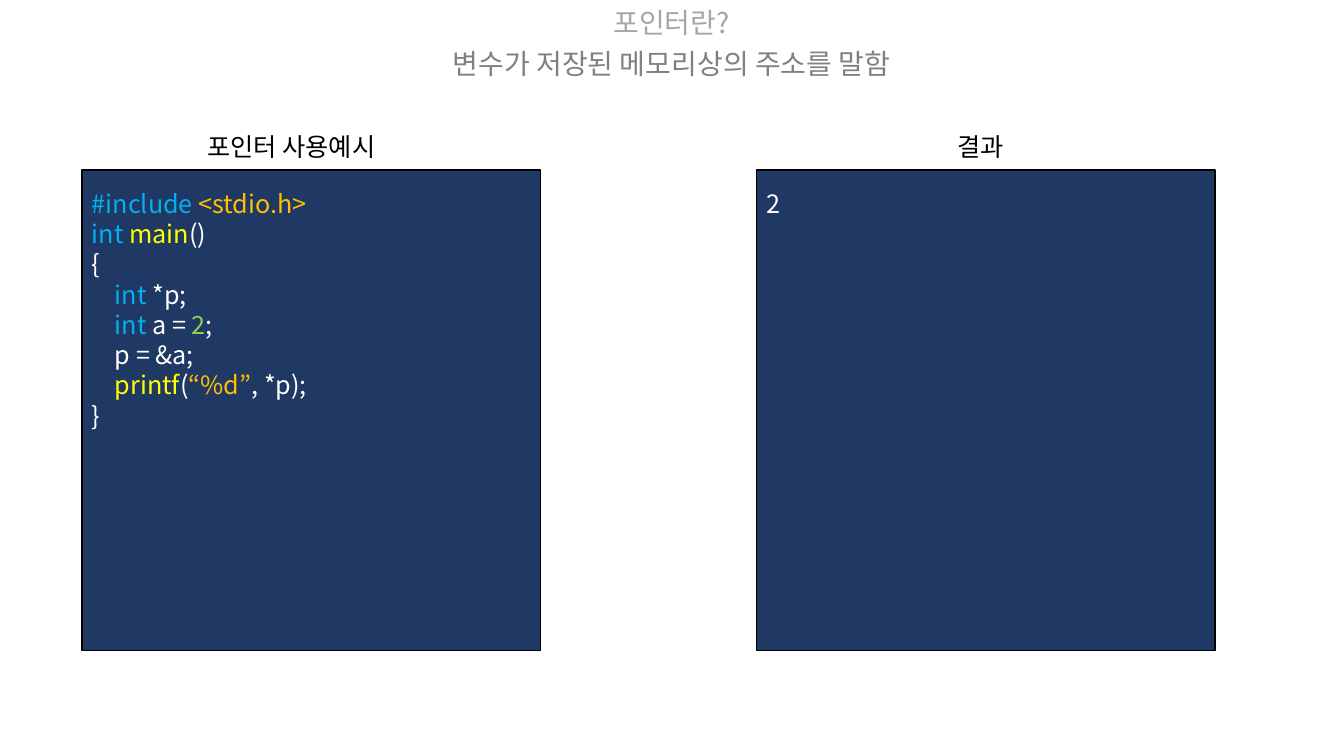
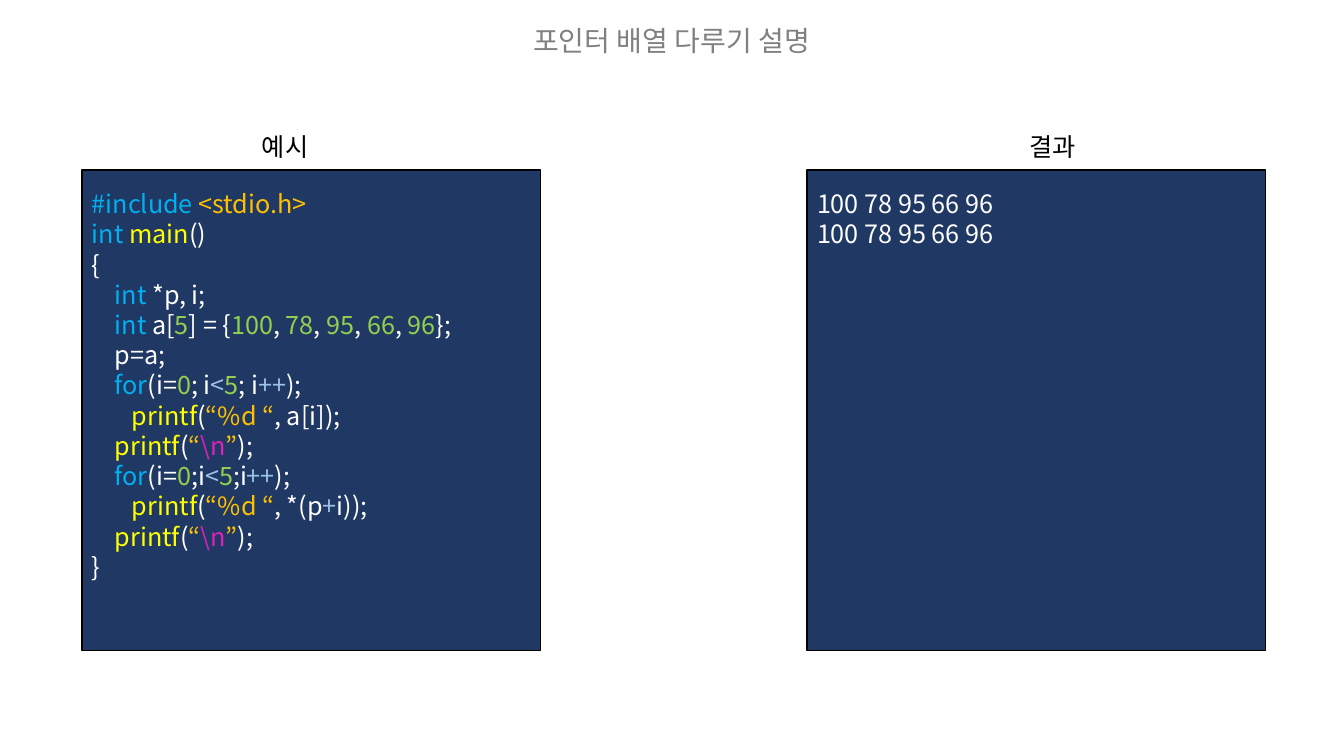
from lxml.etree import SubElement
from pptx import Presentation
from pptx.dml.color import RGBColor
from pptx.enum.shapes import MSO_SHAPE
from pptx.enum.text import PP_ALIGN
from pptx.oxml.ns import qn
from pptx.util import Pt

FONT = "Noto Sans CJK KR"
COLORS = {
    "question": "A6A6A6", "title": "808080", "label": "000000",
    "panel": "203864", "border": "000000",
    "plain": "FFFFFF", "keyword": "00B0F0", "string": "FFC000",
    "function": "FFFF00", "number": "92D050", "operator": "9DC3E6",
    "escape": "E020BB",
}
SPACE_WIDTH = 4.1
TITLE_SIZE, TITLE_HEIGHT = 20, 32
BODY_SIZE, LABEL_TOP, LABEL_HEIGHT = 18, 90, 29
PANEL_TOP, PANEL_WIDTH, PANEL_HEIGHT = 121.5, 327.5, 343
CODE_TOP = 131
CODE_LEFT = 58.5

# A code line is (indent in spaces, [(text, colour), ...]).
PROGRAM_START = [
    (0, [("#include ", "keyword"), ("<stdio.h>", "string")]),
    (0, [("int ", "keyword"), ("main", "function"), ("()", "plain")]),
    (0, [("{", "plain")]),
]
PROGRAM_END = [(0, [("}", "plain")])]
PRINT_NEWLINE = (4, [("printf", "function"), ("(", "plain"), ("“", "string"),
                     ("\\n", "escape"), ("”", "string"), (");", "plain")])


def for_line(gap):
    return (4, [("for", "keyword"), ("(i=", "plain"), ("0", "number"),
                (f";{gap}i", "plain"), ("<", "operator"), ("5", "number"),
                (f";{gap}i", "plain"), ("++", "operator"), (");", "plain")])


def print_line(indent, pattern, *arguments):
    return (indent, [("printf", "function"), ("(", "plain"),
                     (pattern, "string"), *arguments])


def output(*lines):
    return [(0, [(line, "plain")]) for line in lines]


POINTER_CODE = PROGRAM_START + [
    (4, [("int ", "keyword"), ("*p;", "plain")]),
    (4, [("int ", "keyword"), ("a = ", "plain"), ("2", "number"), (";", "plain")]),
    (4, [("p = &a;", "plain")]),
    print_line(4, "“%d”", (", *p);", "plain")),
] + PROGRAM_END

ARRAY_CODE = PROGRAM_START + [
    (4, [("int ", "keyword"), ("*p, i;", "plain")]),
    (4, [("int ", "keyword"), ("a[", "plain"), ("5", "number"), ("] = {", "plain"),
         ("100", "number"), (",", "plain"), (" 78", "number"), (",", "plain"),
         (" 95", "number"), (",", "plain"), (" 66", "number"), (",", "plain"),
         (" 96", "number"), ("};", "plain")]),
    (4, [("p=a;", "plain")]),
    for_line(" "),
    print_line(7, "“%d “", (", a[i]);", "plain")),
    PRINT_NEWLINE,
    for_line(""),
    print_line(7, "“%d “", (", *(p", "plain"), ("+", "operator"), ("i));", "plain")),
    PRINT_NEWLINE,
] + PROGRAM_END

# Titles are (text, colour, top); panels are (left, label, label left, label width, lines).
SLIDES = [
    {
        "titles": [("포인터란?", "question", 0.5),
                   ("변수가 저장된 메모리상의 주소를 말함", "title", 29.5)],
        "panels": [(CODE_LEFT, "포인터 사용예시", 141, 148.5, POINTER_CODE),
                   (540.5, "결과", 677, 51, output("2"))],
    },
    {
        "titles": [("포인터 배열 다루기 설명", "title", 13.5)],
        "panels": [(CODE_LEFT, "예시", 180, 51, ARRAY_CODE),
                   (576.5, "결과", 728, 51,
                    output("100 78 95 66 96", "100 78 95 66 96"))],
    },
]


def rgb(name):
    return RGBColor.from_string(COLORS[name])


def add_text(slide, left, top, width, height, lines, size, align=PP_ALIGN.LEFT, wrap=True):
    frame = slide.shapes.add_textbox(Pt(left), Pt(top), Pt(width), Pt(height)).text_frame
    frame.word_wrap = wrap
    for number, (indent, pieces) in enumerate(lines):
        paragraph = frame.add_paragraph() if number else frame.paragraphs[0]
        paragraph.alignment = align
        if indent:
            paragraph._p.get_or_add_pPr().set("marL", str(Pt(indent * SPACE_WIDTH)))
        for text, color in pieces:
            run = paragraph.add_run()
            run.text = text
            run.font.size = Pt(size)
            run.font.name = FONT
            run.font.color.rgb = rgb(color)
            # font.name covers Latin only; Korean needs the East Asian face.
            SubElement(run.font._element, qn("a:ea")).set("typeface", FONT)


def add_panel(slide, left, label, label_left, label_width, lines):
    panel = slide.shapes.add_shape(MSO_SHAPE.RECTANGLE, Pt(left), Pt(PANEL_TOP),
                                   Pt(PANEL_WIDTH), Pt(PANEL_HEIGHT))
    panel.shadow.inherit = False
    panel.fill.solid()
    panel.fill.fore_color.rgb = rgb("panel")
    panel.line.color.rgb = rgb("border")
    panel.line.width = Pt(1)
    add_text(slide, left, CODE_TOP, PANEL_WIDTH, 7.2 + 21.75 * len(lines), lines, BODY_SIZE)
    add_text(slide, label_left, LABEL_TOP, label_width, LABEL_HEIGHT,
             [(0, [(label, "label")])], BODY_SIZE, wrap=False)


def main():
    deck = Presentation()
    deck.slide_width, deck.slide_height = Pt(960), Pt(540)
    for content in SLIDES:
        slide = deck.slides.add_slide(deck.slide_layouts[6])
        for text, color, top in content["titles"]:
            add_text(slide, 49.5, top, 860.5, TITLE_HEIGHT, [(0, [(text, color)])],
                     TITLE_SIZE, PP_ALIGN.CENTER)
        for panel in content["panels"]:
            add_panel(slide, *panel)
    deck.save("out.pptx")


if __name__ == "__main__":
    main()
